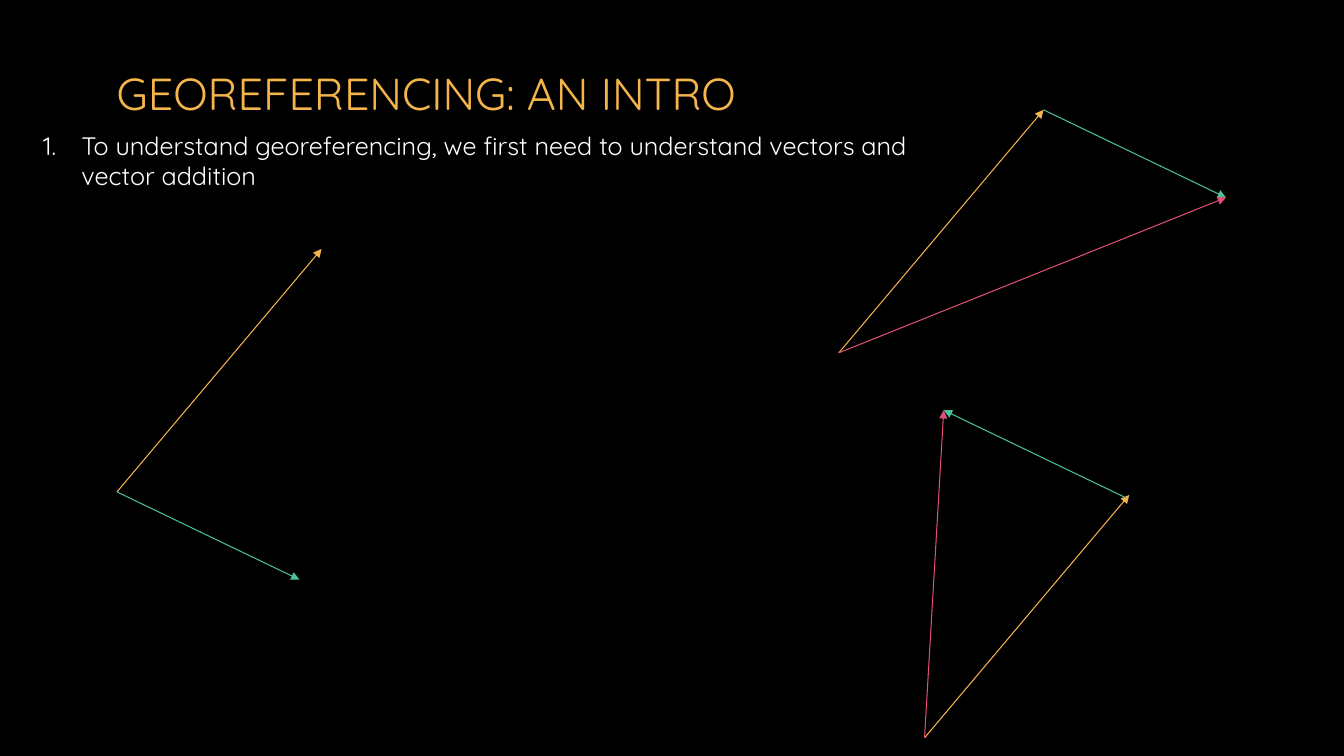
from lxml import etree
from pptx import Presentation
from pptx.dml.color import RGBColor
from pptx.enum.shapes import MSO_CONNECTOR
from pptx.enum.text import MSO_ANCHOR
from pptx.oxml.ns import qn
from pptx.util import Inches, Pt

COLORS = {
    "background": "000000",
    "text": "FFFFFF",
    "first": "F4B54B",
    "second": "4BC298",
    "sum": "E05073",
}
FONT = "Quicksand"
TITLE = "GEOREFERENCING: AN INTRO"
POINTS = [
    "To understand georeferencing, we first need to understand vectors and vector addition",
]

# Vectors as (dx, dy) in inches
FIRST = (2.03, -2.41)
SECOND = (1.81, 0.87)
MINUS_SECOND = (-1.81, -0.87)
ADDITION = (3.84, -1.54)
SUBTRACTION = (0.19, -3.25)

# Each arrow: colour, start point, vector
ARROWS = [
    ("first", (1.16, 4.88), FIRST),
    ("second", (1.16, 4.88), SECOND),
    ("first", (8.32, 3.5), FIRST),
    ("second", (10.35, 1.09), SECOND),
    ("sum", (8.32, 3.5), ADDITION),
    ("first", (9.17, 7.32), FIRST),
    ("second", (11.17, 4.94), MINUS_SECOND),
    ("sum", (9.17, 7.32), SUBTRACTION),
]


def rgb(name):
    return RGBColor.from_string(COLORS[name])


def add_text(slide, box, lines, size, color, anchor=MSO_ANCHOR.TOP):
    shape = slide.shapes.add_textbox(*map(Inches, box))
    frame = shape.text_frame
    frame.word_wrap = True
    frame.vertical_anchor = anchor
    frame.text = "\n".join(lines)
    for paragraph in frame.paragraphs:
        for run in paragraph.runs:
            run.font.name = FONT
            run.font.size = Pt(size)
            run.font.color.rgb = rgb(color)
    return shape


def number_paragraphs(shape, indent):
    for paragraph in shape.text_frame.paragraphs:
        properties = paragraph._p.get_or_add_pPr()
        properties.set("marL", str(Inches(indent)))
        properties.set("indent", str(-Inches(indent)))
        bullet_font = etree.SubElement(properties, qn("a:buFont"))
        bullet_font.set("typeface", FONT)
        numbering = etree.SubElement(properties, qn("a:buAutoNum"))
        numbering.set("type", "arabicPeriod")


def add_arrow(slide, color, start, vector):
    end = [origin + step for origin, step in zip(start, vector)]
    arrow = slide.shapes.add_connector(
        MSO_CONNECTOR.STRAIGHT, *map(Inches, (*start, *end))
    )
    arrow.line.color.rgb = rgb(color)
    arrow.line.width = Pt(0.75)
    head = etree.SubElement(arrow.line._get_or_add_ln(), qn("a:tailEnd"))
    head.set("type", "triangle")
    etree.SubElement(arrow._element.spPr, qn("a:effectLst"))


def main():
    presentation = Presentation()
    presentation.slide_width = Inches(13.33)
    presentation.slide_height = Inches(7.5)
    slide = presentation.slides.add_slide(presentation.slide_layouts[6])
    slide.background.fill.solid()
    slide.background.fill.fore_color.rgb = rgb("background")

    add_text(slide, (1.06, -0.12, 10.83, 2.08), [TITLE], 32, "first", MSO_ANCHOR.MIDDLE)
    body = add_text(slide, (0.33, 1.24, 9.21, 1.01), POINTS, 18, "text")
    number_paragraphs(body, 0.38)
    for color, start, vector in ARROWS:
        add_arrow(slide, color, start, vector)

    presentation.save("out.pptx")


if __name__ == "__main__":
    main()
